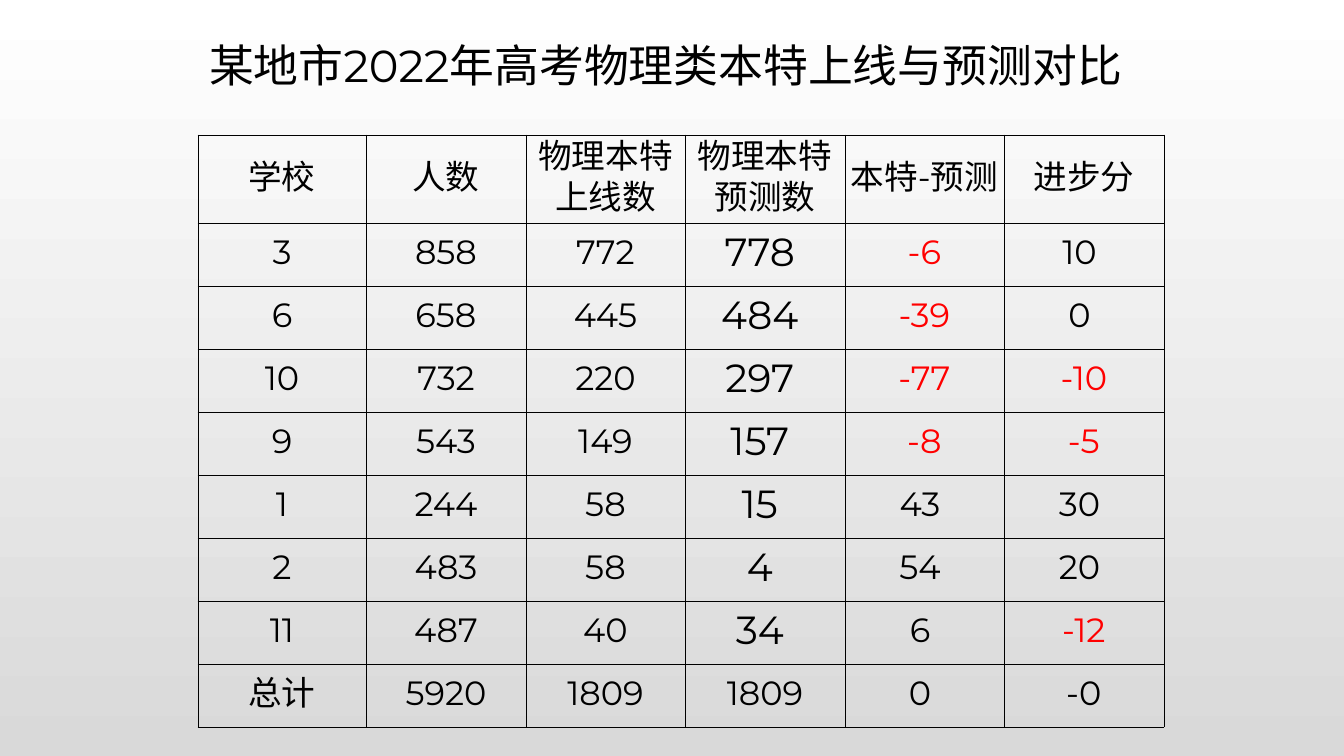
from dataclasses import dataclass
from typing import Any

from lxml import etree
from pptx import Presentation
from pptx import util as u
from pptx.dml import color
from pptx.enum import text
from pptx.oxml import ns

EMU_PER_PX = 914400 / 100.8


@dataclass(frozen=True)
class Theme:
    font: str = "Montserrat"
    ink: str = "000000"
    negative: str = "FF0000"
    sky: str = "FFFFFF"
    ground: str = "D9D9D9"
    title_size: int = 32
    body_size: int = 24
    forecast_size: int = 28
    border_width: float = 0.5


@dataclass(frozen=True)
class Box:
    left: int
    top: int
    width: int
    height: int


@dataclass(frozen=True)
class SchoolRow:
    school: str
    students: str
    admitted: str
    forecast: str
    difference: str
    progress: str

    def values(self) -> tuple[str, ...]:
        return (self.school, self.students, self.admitted,
                self.forecast, self.difference, self.progress)


THEME = Theme()
PAGE_SIZE = (1344, 756)
TITLE = "某地市2022年高考物理类本特上线与预测对比"
TITLE_BOX = Box(199, 32, 973, 65)
TABLE_BOX = Box(198, 135, 966, 591)
COLUMN_WIDTHS = [168] + [160, 159] * 2 + [160]
HEADER_HEIGHT = 87
ROW_HEIGHT = 63
FORECAST_COLUMN = 3
ROWS = [
    SchoolRow("学校", "人数", "物理本特上线数", "物理本特预测数", "本特-预测", "进步分"),
    SchoolRow("3", "858", "772", "778 ", "-6", "10 "),
    SchoolRow("6", "658", "445", "484 ", "-39", "0 "),
    SchoolRow("10", "732", "220", "297 ", "-77", "-10"),
    SchoolRow("9", "543", "149", "157 ", "-8", "-5"),
    SchoolRow("1", "244", "58", "15 ", "43 ", "30 "),
    SchoolRow("2", "483", "58", "4 ", "54 ", "20 "),
    SchoolRow("11", "487", "40", "34 ", "6 ", "-12"),
    SchoolRow("总计", "5920", "1809", "1809", "0 ", "-0"),
]


def px(length: int) -> u.Emu:
    return u.Emu(round(length * EMU_PER_PX))


def apply_format(target: Any, values: dict[str, Any]) -> None:
    for name, value in values.items():
        setattr(target, name, value)


def write_text(para: Any, wording: str, size: int, ink: str, align: Any) -> None:
    para.alignment = align
    span = para.add_run()
    span.text = wording
    apply_format(span.font, {"name": THEME.font, "size": u.Pt(size), "bold": False})
    span.font.color.rgb = color.RGBColor.from_string(ink)
    latin = span.font._element.find(ns.qn("a:latin"))
    east_asian = etree.Element(ns.qn("a:ea"), typeface=THEME.font)
    latin.addnext(east_asian)


def draw_background(page: Any) -> None:
    fill = page.background.fill
    fill.gradient()
    fill.gradient_angle = 270
    for stop, position, shade in zip(fill.gradient_stops, (0, 1), (THEME.sky, THEME.ground)):
        stop.position = position
        stop.color.rgb = color.RGBColor.from_string(shade)


def draw_title(page: Any) -> None:
    title = page.shapes.title
    box = TITLE_BOX
    apply_format(title, {"left": px(box.left), "top": px(box.top),
                         "width": px(box.width), "height": px(box.height)})
    apply_format(title.text_frame, {"word_wrap": True,
                                    "auto_size": text.MSO_AUTO_SIZE.NONE,
                                    "vertical_anchor": text.MSO_ANCHOR.MIDDLE})
    write_text(title.text_frame.paragraphs[0], TITLE, THEME.title_size,
               THEME.ink, text.PP_ALIGN.LEFT)


def draw_borders(cell: Any) -> None:
    properties = cell._tc.get_or_add_tcPr()
    for index, side in enumerate(("lnL", "lnR", "lnT", "lnB")):
        line = etree.Element(ns.qn(f"a:{side}"), w=str(u.Pt(THEME.border_width)))
        paint = etree.SubElement(line, ns.qn("a:solidFill"))
        etree.SubElement(paint, ns.qn("a:srgbClr"), val=THEME.ink)
        properties.insert(index, line)


def draw_cell(cell: Any, wording: str, size: int) -> None:
    apply_format(cell, {"margin_left": px(1), "margin_right": px(1),
                        "margin_top": px(1), "margin_bottom": px(5),
                        "vertical_anchor": text.MSO_ANCHOR.MIDDLE})
    cell.fill.background()
    draw_borders(cell)
    is_negative = wording.startswith("-") and wording != "-0"
    ink = THEME.negative if is_negative else THEME.ink
    write_text(cell.text_frame.paragraphs[0], wording, size, ink, text.PP_ALIGN.CENTER)


def draw_table(page: Any) -> None:
    box = TABLE_BOX
    table = page.shapes.add_table(len(ROWS), len(COLUMN_WIDTHS), px(box.left), px(box.top),
                                  px(box.width), px(box.height)).table
    apply_format(table, {"first_row": False, "horz_banding": False})
    for column, width in zip(table.columns, COLUMN_WIDTHS):
        column.width = px(width)
    last = len(ROWS) - 1
    for row_index, row in enumerate(ROWS):
        table.rows[row_index].height = px(ROW_HEIGHT if row_index else HEADER_HEIGHT)
        for column_index, wording in enumerate(row.values()):
            is_forecast = column_index == FORECAST_COLUMN and 0 < row_index < last
            size = THEME.forecast_size if is_forecast else THEME.body_size
            draw_cell(table.cell(row_index, column_index), wording, size)


def main() -> None:
    deck = Presentation()
    deck.slide_width, deck.slide_height = map(px, PAGE_SIZE)
    page = deck.slides.add_slide(deck.slide_layouts.get_by_name("Title Only"))
    draw_background(page)
    draw_table(page)
    draw_title(page)
    deck.save("out.pptx")


if __name__ == "__main__":
    main()
